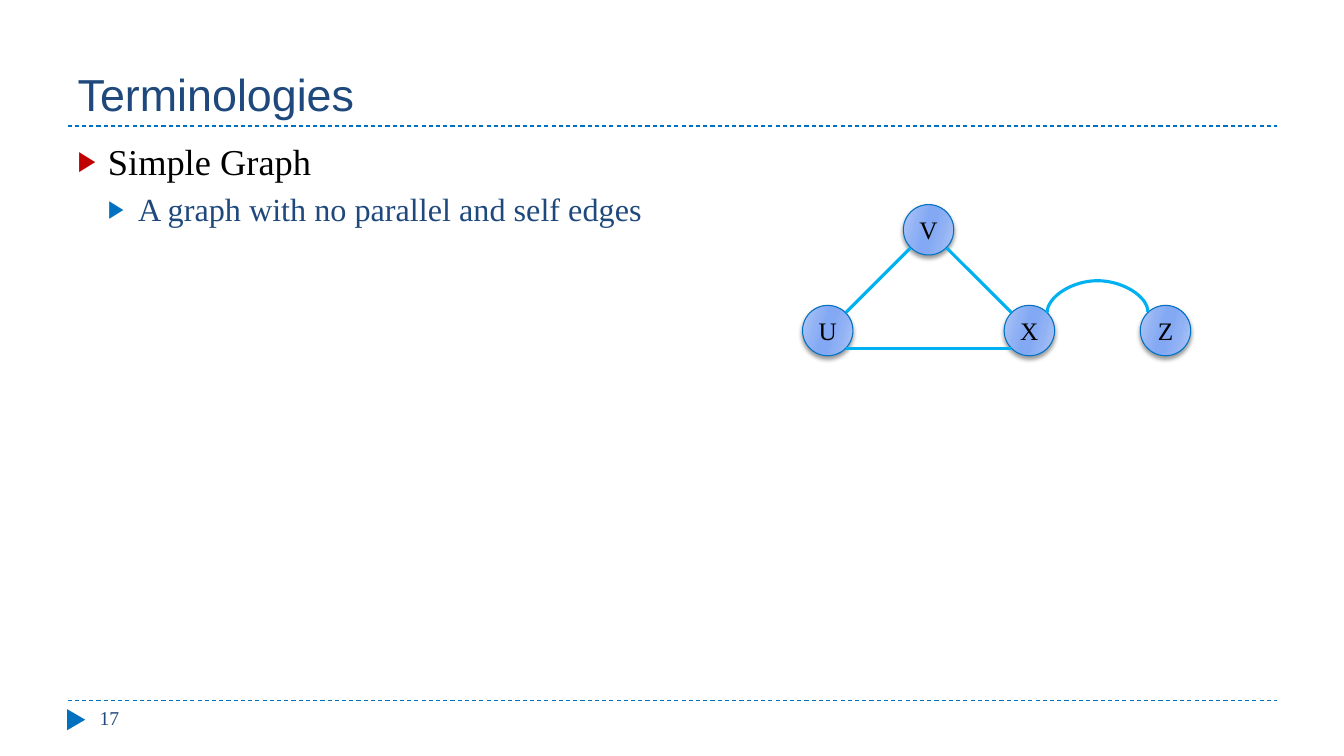
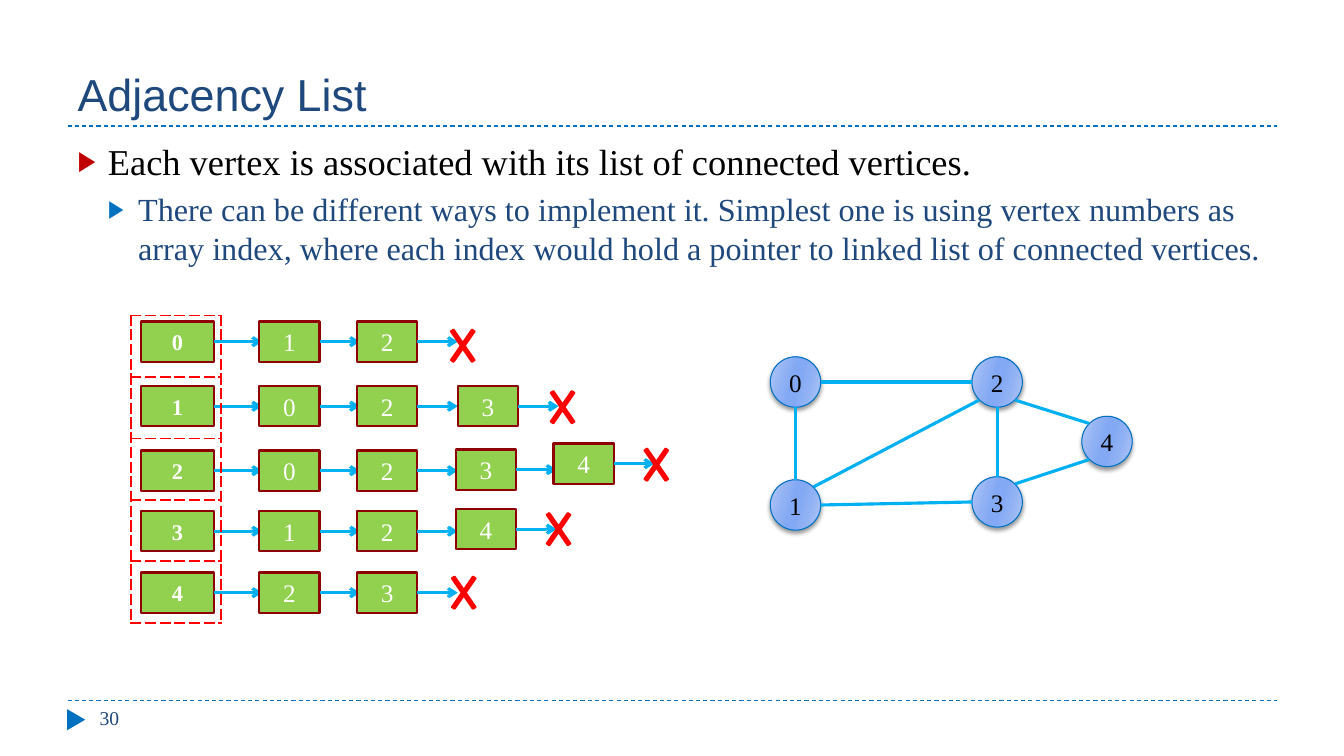
from dataclasses import dataclass, field

from lxml import etree
from pptx import Presentation
from pptx.dml.color import RGBColor
from pptx.enum.dml import MSO_LINE
from pptx.enum.shapes import MSO_CONNECTOR, MSO_SHAPE
from pptx.enum.text import MSO_ANCHOR, MSO_AUTO_SIZE, PP_ALIGN
from pptx.oxml import parse_xml
from pptx.oxml.ns import nsdecls, qn
from pptx.util import Emu, Pt

STRAIGHT, CURVE = MSO_CONNECTOR.STRAIGHT, MSO_CONNECTOR.CURVE
OVAL, RECT = MSO_SHAPE.OVAL, MSO_SHAPE.RECTANGLE
TRIANGLE, CROSS = MSO_SHAPE.ISOSCELES_TRIANGLE, MSO_SHAPE.MATH_MULTIPLY
MIDDLE, BOTTOM = MSO_ANCHOR.MIDDLE, MSO_ANCHOR.BOTTOM
LEFT, CENTER = PP_ALIGN.LEFT, PP_ALIGN.CENTER
NO_FIT, DASH = MSO_AUTO_SIZE.NONE, MSO_LINE.DASH

EMU_PER_PX = 9144
SANS, SERIF = "Arial", "Times New Roman"
COLORS = {
    "navy": "1F497D", "blue": "0070C0", "edge": "00B0F0", "bullet": "C00000",
    "black": "000000", "white": "FFFFFF", "green": "92D050", "maroon": "8E0000",
    "red": "FF0000",
}
VERTEX_STOPS = ((0, "B4C9F6"), (30, "90B1F4"), (45, "83A9F4"),
                (55, "83A9F4"), (73, "90B1F4"), (100, "B4C9F6"))
VERTEX_SIZE = 50
DIAGONAL = 0.71
SITES = {
    "n": (0, -1), "s": (0, 1), "w": (-1, 0), "e": (1, 0),
    "nw": (-DIAGONAL, -DIAGONAL), "ne": (DIAGONAL, -DIAGONAL),
    "sw": (-DIAGONAL, DIAGONAL), "se": (DIAGONAL, DIAGONAL),
}
HEAD_LEFT, HEAD_WIDTH = 140, 72
NODE_LEFTS = tuple(round(257 + 97.33 * i) for i in range(4))
NODE_WIDTH, BOX_HEIGHT = 60, 40
HEAD_ARROW, NODE_ARROW = 48, 40


@dataclass
class Level:
    size: int
    color: str
    bullet: str
    before: int


@dataclass
class Vertex:
    label: str
    left: int
    top: int

    def site(self, name: str) -> tuple[int, int]:
        r = VERTEX_SIZE / 2
        dx, dy = SITES[name]
        return round(self.left + r + dx * r), round(self.top + r + dy * r)


@dataclass
class Edge:
    start: str
    start_site: str
    end: str
    end_site: str


@dataclass
class LinkedRow:
    top: int
    head: str
    nodes: str
    cross: tuple[int, int]
    nudges: dict[int, tuple[int, int]] = field(default_factory=dict)


LEVELS = (Level(26, "black", "bullet", 0), Level(23, "navy", "blue", 5))

SIMPLE_VERTICES = (Vertex("X", 996, 303), Vertex("U", 796, 303),
                   Vertex("V", 896, 203), Vertex("Z", 1131, 303))
SIMPLE_EDGES = (Edge("V", "sw", "U", "ne"), Edge("X", "sw", "U", "se"),
                Edge("V", "se", "X", "nw"))

LISTED_VERTICES = (Vertex("2", 964, 354), Vertex("3", 964, 473), Vertex("1", 764, 476),
                   Vertex("0", 764, 354), Vertex("4", 1073, 413))
LISTED_EDGES = (Edge("2", "w", "0", "e"), Edge("3", "w", "1", "e"),
                Edge("4", "sw", "3", "ne"), Edge("0", "s", "1", "n"),
                Edge("2", "sw", "1", "ne"), Edge("4", "nw", "2", "se"),
                Edge("3", "n", "2", "s"))
ROWS = (
    LinkedRow(319, "0", "12", (439, 314)),
    LinkedRow(383, "1", "023", (538, 375), {2: (2, 0)}),
    LinkedRow(447, "2", "0234", (631, 432), {2: (0, -1), 3: (0, -7)}),
    LinkedRow(507, "3", "124", (534, 496), {2: (0, -2)}),
    LinkedRow(568, "4", "23", (440, 559)),
)


def px(n: int) -> Emu:
    return Emu(n * EMU_PER_PX)


def rgb(name: str) -> RGBColor:
    return RGBColor.from_string(COLORS[name])


def format_runs(p, size: int, color: str, font: str = SERIF, bold: bool = False) -> None:
    for r in p.runs:
        r.font.name = font
        r.font.size = Pt(size)
        r.font.bold = bold
        r.font.color.rgb = rgb(color)


def place(sp, left: int, top: int, width: int, height: int) -> None:
    sp.left, sp.top, sp.width, sp.height = map(px, (left, top, width, height))


def add_line(slide, start: tuple[int, int], end: tuple[int, int], color: str = "edge",
             width: float = 2.25, kind=STRAIGHT):
    cxn = slide.shapes.add_connector(kind, *map(px, (*start, *end)))
    cxn.line.color.rgb = rgb(color)
    cxn.line.width = Pt(width)
    etree.SubElement(cxn._element.spPr, qn("a:effectLst"))
    return cxn


def add_shape(slide, kind, left: int, top: int, width: int, height: int,
              fill: str, line: str, line_width: float):
    sp = slide.shapes.add_shape(kind, *map(px, (left, top, width, height)))
    sp.shadow.inherit = False
    sp.fill.solid()
    sp.fill.fore_color.rgb = rgb(fill)
    sp.line.color.rgb = rgb(line)
    sp.line.width = Pt(line_width)
    return sp


def label_shape(sp, text: str, size: int, color: str, bold: bool = False) -> None:
    tf = sp.text_frame
    tf.text = text
    tf.vertical_anchor = MIDDLE
    tf.paragraphs[0].alignment = CENTER
    format_runs(tf.paragraphs[0], size, color, bold=bold)


def add_bullet(p, color: str) -> None:
    pPr = p._p.get_or_add_pPr()
    clr = etree.SubElement(pPr, qn("a:buClr"))
    etree.SubElement(clr, qn("a:srgbClr"), val=COLORS[color])
    etree.SubElement(pPr, qn("a:buSzPct"), val="76000")
    etree.SubElement(pPr, qn("a:buChar"), char="▶")


def add_content_slide(prs, title: str, items: tuple[str, ...], number: str):
    slide = prs.slides.add_slide(prs.slide_layouts[1])
    for y in (695, 125):
        add_line(slide, (67, y), (1267, y), "blue", 0.75).line.dash_style = DASH
    marker = add_shape(slide, TRIANGLE, 65, 705, 21, 18, "blue", "blue", 0.75)
    marker.line.fill.background()
    marker.rotation = 90

    sp = slide.shapes.title
    place(sp, 67, 17, 1200, 108)
    tf = sp.text_frame
    tf.text = title
    tf.auto_size = NO_FIT
    tf.vertical_anchor = BOTTOM
    tf.paragraphs[0].alignment = LEFT
    format_runs(tf.paragraphs[0], 32, "navy", SANS)

    sp = slide.placeholders[1]
    place(sp, 67, 133, 1200, 540)
    tf = sp.text_frame
    tf.text = "\n".join(items)
    tf.auto_size = NO_FIT
    for i, (p, level) in enumerate(zip(tf.paragraphs, LEVELS)):
        p.level = i
        p.space_before = Pt(level.before)
        pPr = p._p.get_or_add_pPr()
        pPr.set("marL", str(px(30 * (i + 1))))
        pPr.set("indent", str(px(-30)))
        add_bullet(p, level.bullet)
        format_runs(p, level.size, level.color)

    sp = slide.shapes.add_textbox(*map(px, (89, 695, 289, 40)))
    sp.text_frame.word_wrap = True
    sp.text_frame.text = number
    format_runs(sp.text_frame.paragraphs[0], 14, "navy")
    return slide


def add_vertex(slide, v: Vertex) -> None:
    sp = add_shape(slide, OVAL, v.left, v.top, VERTEX_SIZE, VERTEX_SIZE,
                   "edge", "blue", 0.75)
    stops = "".join(f'<a:gs pos="{pos * 1000}"><a:srgbClr val="{color}"/></a:gs>'
                    for pos, color in VERTEX_STOPS)
    spPr = sp._element.spPr
    spPr.replace(spPr.find(qn("a:solidFill")), parse_xml(
        f'<a:gradFill {nsdecls("a")} rotWithShape="1"><a:gsLst>{stops}</a:gsLst>'
        '<a:lin ang="960000" scaled="0"/></a:gradFill>'))
    spPr.find(qn("a:effectLst")).append(parse_xml(
        f'<a:outerShdw {nsdecls("a")} blurRad="38100" dist="25400" dir="5400000" '
        f'rotWithShape="0"><a:srgbClr val="{COLORS["black"]}"><a:alpha val="40000"/>'
        '</a:srgbClr></a:outerShdw>'))
    sp.text_frame.word_wrap = False
    label_shape(sp, v.label, 18, "black")


def add_graph(slide, vertices: tuple[Vertex, ...], edges: tuple[Edge, ...]) -> None:
    by_label = {v.label: v for v in vertices}
    for v in vertices:
        add_vertex(slide, v)
    for e in edges:
        add_line(slide, by_label[e.start].site(e.start_site),
                 by_label[e.end].site(e.end_site))


def add_arch(slide) -> None:
    spPr = add_line(slide, (1089, 360), (1088, 260), kind=CURVE)._element.spPr
    spPr.find(qn("a:xfrm")).set("rot", "5400000")
    geom = spPr.find(qn("a:prstGeom"))
    etree.SubElement(geom.find(qn("a:avLst")), qn("a:gd"), name="adj1", fmla="val 3250000")


def add_box(slide, text: str, left: int, top: int, width: int, arrow: int,
            size: int, bold: bool = False) -> None:
    sp = add_shape(slide, RECT, left, top, width, BOX_HEIGHT, "green", "maroon", 1.5)
    label_shape(sp, text, size, "white", bold)
    right, mid = left + width, top + BOX_HEIGHT // 2
    cxn = add_line(slide, (right, mid), (right + arrow, mid))
    cxn.begin_connect(sp, 3)
    etree.SubElement(cxn._element.spPr.find(qn("a:ln")), qn("a:tailEnd"), type="arrow")


def add_linked_row(slide, row: LinkedRow) -> None:
    add_box(slide, row.head, HEAD_LEFT, row.top, HEAD_WIDTH, HEAD_ARROW, 16, True)
    for i, text in enumerate(row.nodes):
        dx, dy = row.nudges.get(i, (0, 0))
        add_box(slide, text, NODE_LEFTS[i] + dx, row.top + dy, NODE_WIDTH, NODE_ARROW, 18)
    sp = add_shape(slide, CROSS, *row.cross, 40, 58, "red", "red", 1.5)
    sp.adjustments[0] = 0.077


def add_index_table(slide) -> None:
    table = slide.shapes.add_table(len(ROWS), 1, *map(px, (130, 313, 89, 305))).table
    table.first_row = table.horz_banding = False
    for row in table.rows:
        cell = row.cells[0]
        cell.fill.background()
        tcPr = cell._tc.get_or_add_tcPr()
        for i, side in enumerate("LRTB"):
            tcPr.insert(i, parse_xml(
                f'<a:ln{side} {nsdecls("a")} w="{Pt(1.5)}"><a:solidFill>'
                f'<a:srgbClr val="{COLORS["red"]}"/></a:solidFill>'
                f'<a:prstDash val="sysDash"/></a:ln{side}>'))


def main() -> None:
    prs = Presentation()
    prs.slide_width, prs.slide_height = px(1333), px(750)

    slide = add_content_slide(prs, "Terminologies", (
        "Simple Graph", "A graph with no parallel and self edges"), "17")
    add_graph(slide, SIMPLE_VERTICES, SIMPLE_EDGES)
    add_arch(slide)

    slide = add_content_slide(prs, "Adjacency List", (
        "Each vertex is associated with its list of connected vertices.",
        "There can be different ways to implement it. Simplest one is using vertex "
        "numbers as array index, where each index would hold a pointer to linked list "
        "of connected vertices."), "30")
    add_graph(slide, LISTED_VERTICES, LISTED_EDGES)
    for row in ROWS:
        add_linked_row(slide, row)
    add_index_table(slide)

    prs.save("out.pptx")


if __name__ == "__main__":
    main()
